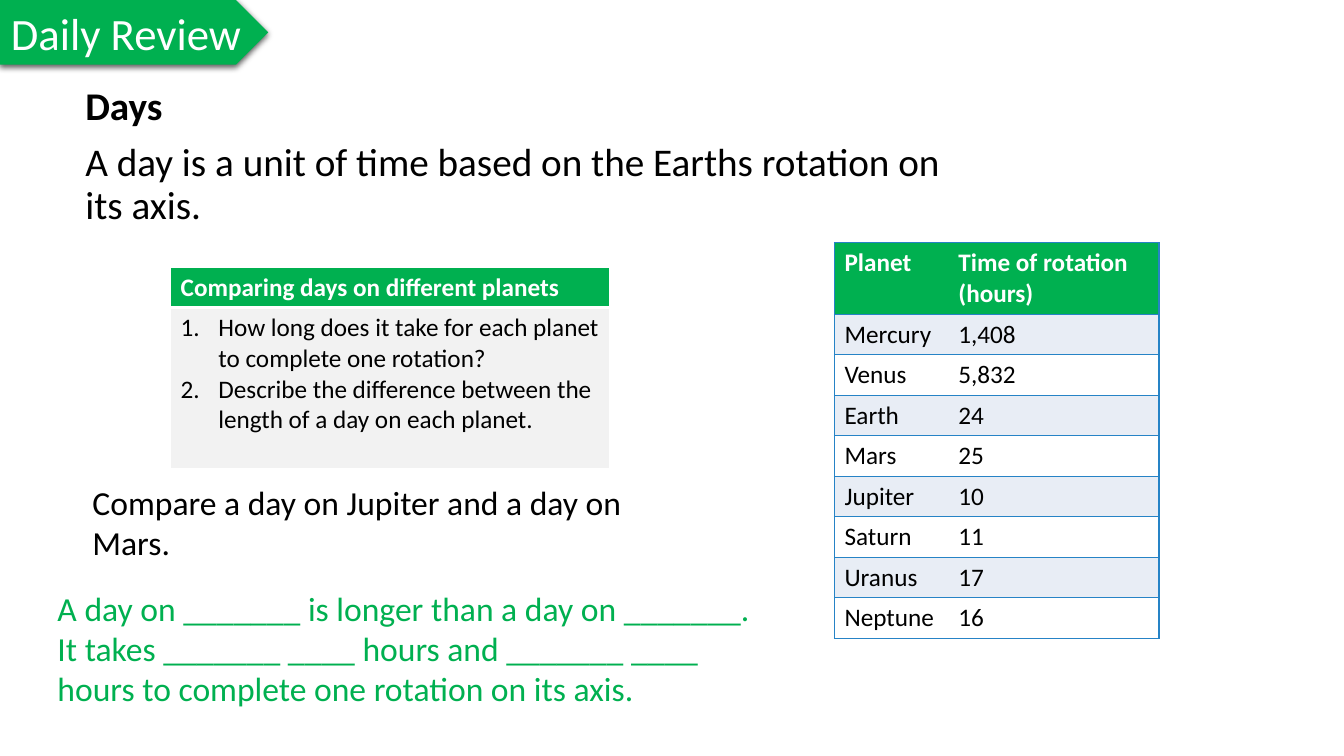
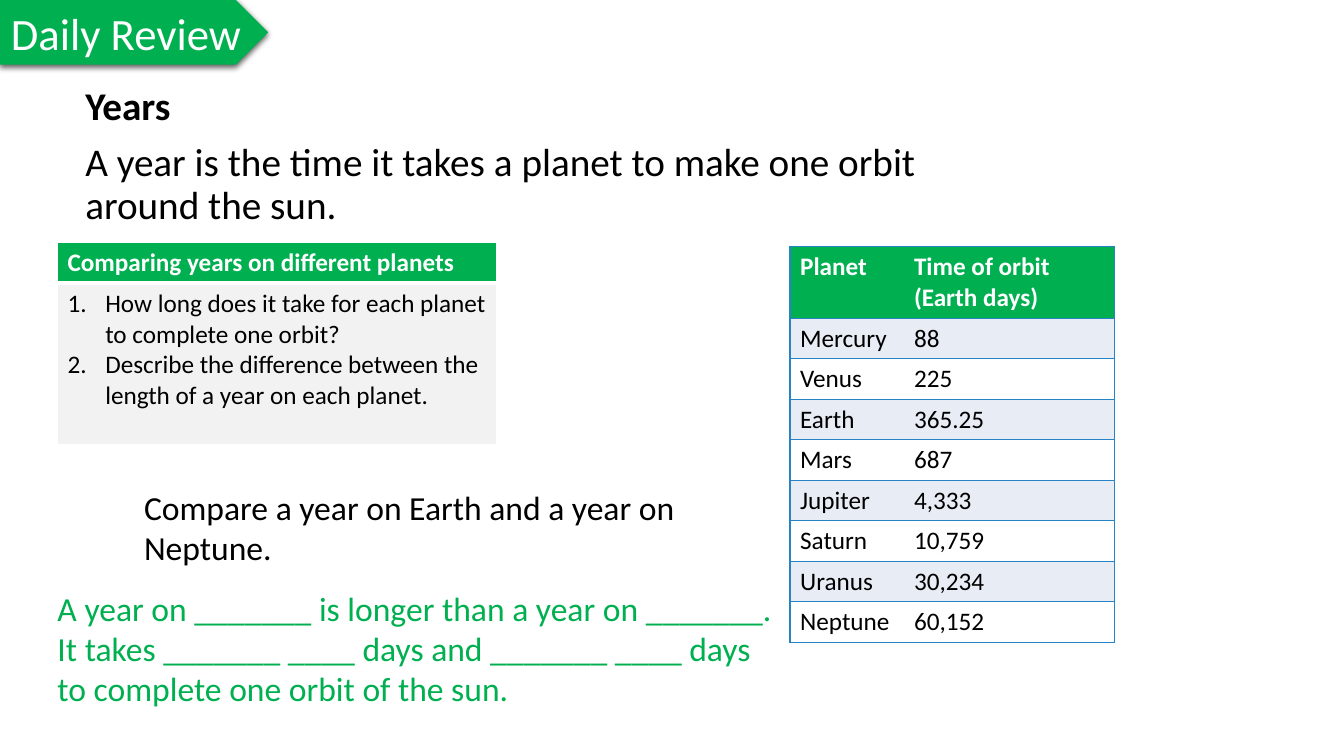
from dataclasses import dataclass

from lxml.etree import SubElement
from pptx import Presentation
from pptx.dml.color import RGBColor as Rgb
from pptx.enum.shapes import MSO_SHAPE as Preset
from pptx.enum.text import MSO_ANCHOR as Anchor, PP_ALIGN as Align
from pptx.oxml.ns import qn
from pptx.util import Cm, Pt


@dataclass(frozen=True)
class Theme:
    """Colours, font and type sizes shared by the slides."""

    font: str = "Calibri"
    green: str = "00B050"
    white: str = "FFFFFF"
    black: str = "000000"
    grey: str = "F2F2F2"
    band: str = "E8EDF5"
    rule: str = "2683C6"
    banner_size: int = 32
    definition_size: int = 28
    sentence_size: int = 24
    table_size: int = 18


@dataclass(frozen=True)
class Review:
    """Content of one review slide and the places that vary."""

    topic: str
    definition: str
    heading: str
    questions: tuple
    questions_at: tuple
    measure: str
    values: tuple
    planets_at: tuple
    prompt: str
    prompt_at: tuple
    answer: str


THEME = Theme()
PLANETS = ("Mercury", "Venus", "Earth", "Mars", "Jupiter", "Saturn", "Uranus", "Neptune")

REVIEWS = (
    Review(
        topic="Days",
        definition="A day is a unit of time based on the Earths rotation on its axis.",
        heading="Comparing days on different planets",
        questions=(
            "How long does it take for each planet to complete one rotation?",
            "Describe the difference between the length of a day on each planet.",
        ),
        questions_at=(4.3, 6.73),
        measure="Time of rotation (hours)",
        values=("1,408", "5,832", "24", "25", "10", "11", "17", "16"),
        planets_at=(21.03, 6.12),
        prompt="Compare a day on Jupiter and a day on Mars.",
        prompt_at=(2.08, 12.01),
        answer="A day on _______ is longer than a day on _______. It takes _______ ____ hours "
               "and _______ ____ hours to complete one rotation on its axis.",
    ),
    Review(
        topic="Years",
        definition="A year is the time it takes a planet to make one orbit around the sun.",
        heading="Comparing years on different planets",
        questions=(
            "How long does it take for each planet to complete one orbit?",
            "Describe the difference between the length of a year on each planet.",
        ),
        questions_at=(1.45, 6.12),
        measure="Time of orbit (Earth days)",
        values=("88", "225", "365.25", "687", "4,333", "10,759", "30,234", "60,152"),
        planets_at=(19.91, 6.22),
        prompt="Compare a year on Earth and a year on Neptune.",
        prompt_at=(3.38, 12.14),
        answer="A year on _______ is longer than a year on _______. It takes _______ ____ days "
               "and _______ ____ days to complete one orbit of the sun.",
    ),
)


def write(paragraph, text, size, color, bold=False):
    """Set a paragraph's text and format its runs."""
    paragraph.text = text
    for run in paragraph.runs:
        run.font.name = THEME.font
        run.font.size = Pt(size)
        run.font.bold = bold
        run.font.color.rgb = Rgb.from_string(color)


def add_text_frame(slide, box):
    """Add a wrapping text box and return its frame."""
    frame = slide.shapes.add_textbox(*map(Cm, box)).text_frame
    frame.word_wrap = True
    return frame


def add_sentence(slide, box, text, color):
    """Add a text box holding one sentence-sized paragraph."""
    write(add_text_frame(slide, box).paragraphs[0], text, THEME.sentence_size, color)


def add_soft_shadow(shape):
    """Give a shape a soft shadow straight below it."""
    shape.shadow.inherit = False
    effects = shape._element.spPr.find(qn("a:effectLst"))
    shadow = SubElement(effects, qn("a:outerShdw"), blurRad=str(Pt(4.5)),
                        dist=str(Pt(1.5)), dir="5400000", rotWithShape="0")
    color = SubElement(shadow, qn("a:srgbClr"), val=THEME.black)
    SubElement(color, qn("a:alpha"), val="63000")


def add_banner(slide, box):
    """Add the green arrow banner in the corner."""
    banner = slide.shapes.add_shape(Preset.PENTAGON, *map(Cm, box))
    banner.fill.solid()
    banner.fill.fore_color.rgb = Rgb.from_string(THEME.green)
    banner.line.fill.background()
    add_soft_shadow(banner)
    frame = banner.text_frame
    frame.word_wrap = False
    frame.vertical_anchor = Anchor.MIDDLE
    title = frame.paragraphs[0]
    title.alignment = Align.CENTER
    write(title, "Daily Review", THEME.banner_size, THEME.white)


def add_definition(slide, box, topic, definition):
    """Add the bold topic and its definition."""
    frame = add_text_frame(slide, box)
    head, body = frame.paragraphs[0], frame.add_paragraph()
    write(head, topic, THEME.definition_size, THEME.black, bold=True)
    write(body, definition, THEME.definition_size, THEME.black)
    head.line_spacing = body.line_spacing = 0.9
    body.space_before = Pt(10)


def style_cell(cell, fill, borders):
    """Set a cell's fill and its borders, given as side: (colour, points)."""
    props = cell._tc.get_or_add_tcPr()
    for side in "LRTB":
        color, width = borders.get(side, (None, 0))
        line = SubElement(props, qn(f"a:ln{side}"), w=str(Pt(width)))
        if color:
            paint = SubElement(line, qn("a:solidFill"))
            SubElement(paint, qn("a:srgbClr"), val=color)
        else:
            SubElement(line, qn("a:noFill"))
    cell.fill.solid()
    cell.fill.fore_color.rgb = Rgb.from_string(fill)


def add_grid(slide, at, widths, heights):
    """Add an unbanded table with the given column widths and row heights."""
    size = sum(widths), sum(heights)
    frame = slide.shapes.add_table(len(heights), len(widths), *map(Cm, (*at, *size)))
    grid = frame.table
    grid.horz_banding = False
    for column, width in zip(grid.columns, widths):
        column.width = Cm(width)
    for row, height in zip(grid.rows, heights):
        row.height = Cm(height)
    return grid


def number(paragraph):
    """Turn a paragraph into a numbered item with a hanging indent."""
    props = paragraph._p.get_or_add_pPr()
    props.set("marL", str(Cm(0.95)))
    props.set("indent", str(-Cm(0.95)))
    SubElement(props, qn("a:buFont"), typeface="+mj-lt")
    SubElement(props, qn("a:buAutoNum"), type="arabicPeriod")


def add_questions(slide, at, heading, questions):
    """Add the panel with a green heading over numbered questions."""
    grid = add_grid(slide, at, (11.07,), (1.02, 4.06))
    head, body = grid.cell(0, 0), grid.cell(1, 0)
    thin, thick = (THEME.white, 1), (THEME.white, 3)
    style_cell(head, THEME.green, {"L": thin, "R": thin, "T": thin, "B": thick})
    style_cell(body, THEME.grey, {"L": thin, "R": thin, "T": thick, "B": thin})
    write(head.text_frame.paragraphs[0], heading, THEME.table_size, THEME.white, bold=True)
    frame = body.text_frame
    for index, question in enumerate(questions):
        item = frame.add_paragraph() if index else frame.paragraphs[0]
        number(item)
        write(item, question, THEME.table_size, THEME.black)


def add_planets(slide, at, measure, values):
    """Add the table of planets and their measured times."""
    rows = [("Planet", measure), *zip(PLANETS, values)]
    grid = add_grid(slide, at, (2.87, 5.31), (1.8, *[1.02] * len(PLANETS)))
    rule = (THEME.rule, 1)
    for row, texts in enumerate(rows):
        is_head = row == 0
        fill = THEME.green if is_head else THEME.band if row % 2 else THEME.white
        color = THEME.white if is_head else THEME.black
        for column, (text, outer_side) in enumerate(zip(texts, "LR")):
            cell = grid.cell(row, column)
            style_cell(cell, fill, {outer_side: rule, "T": rule, "B": rule})
            write(cell.text_frame.paragraphs[0], text, THEME.table_size, color, bold=is_head)


def add_review(deck, review):
    """Add one review slide."""
    slide = deck.slides.add_slide(deck.slide_layouts[6])
    add_banner(slide, (0, 0, 6.76, 1.63))
    add_definition(slide, (1.9, 2.06, 22.73, 11.3), review.topic, review.definition)
    add_questions(slide, review.questions_at, review.heading, review.questions)
    add_planets(slide, review.planets_at, review.measure, review.values)
    add_sentence(slide, (*review.prompt_at, 14, 2.31), review.prompt, THEME.black)
    add_sentence(slide, (1.2, 14.68, 18.54, 3.33), review.answer, THEME.green)


def main():
    """Build and save the deck."""
    deck = Presentation()
    deck.slide_width, deck.slide_height = Cm(33.87), Cm(19.05)
    for review in REVIEWS:
        add_review(deck, review)
    deck.save("out.pptx")


if __name__ == "__main__":
    main()
